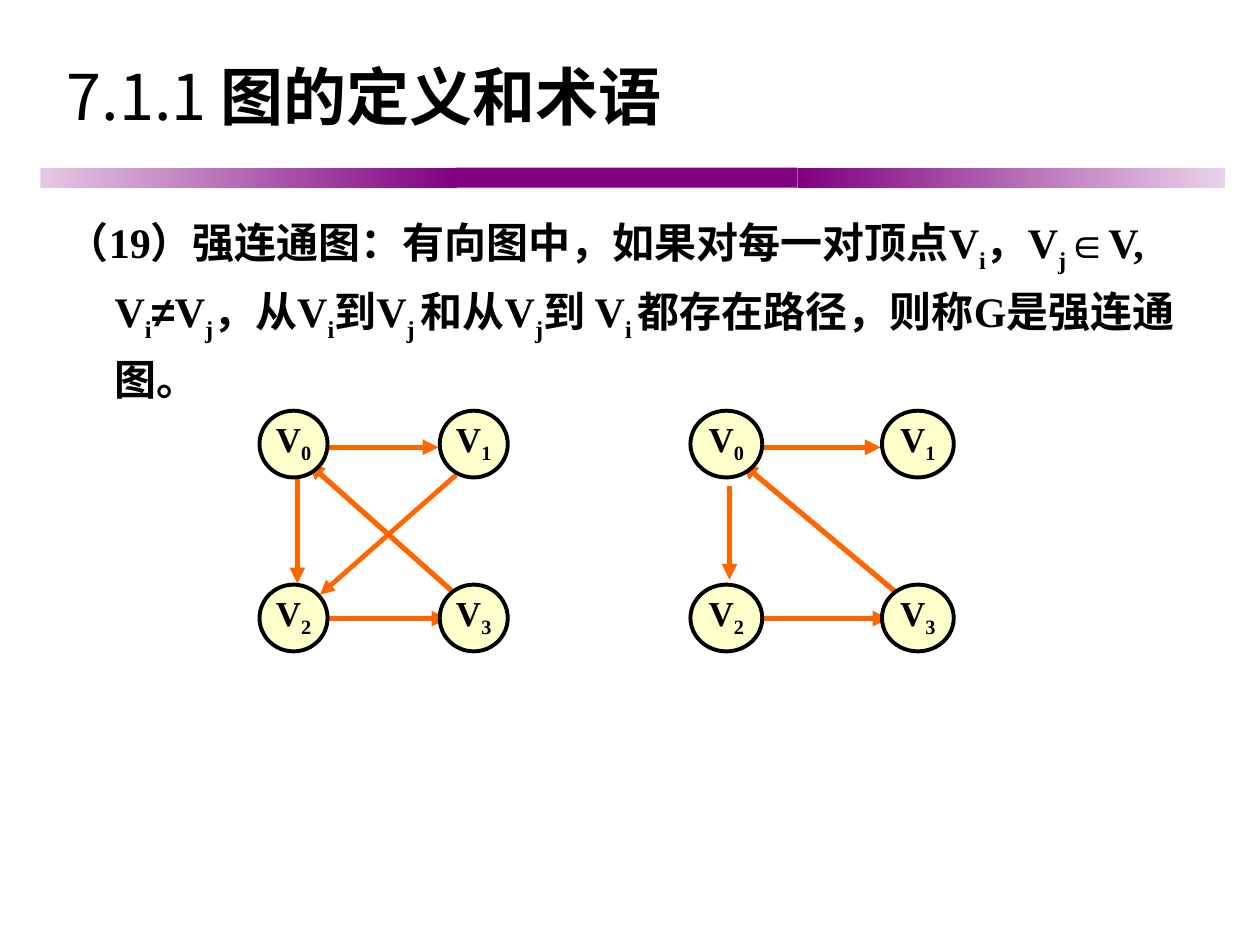
"""Build a slide that defines strongly connected graphs."""
from dataclasses import dataclass

from lxml.etree import SubElement
from pptx import Presentation
from pptx.dml.color import RGBColor
from pptx.enum.shapes import MSO_CONNECTOR, MSO_SHAPE
from pptx.enum.text import MSO_ANCHOR, MSO_AUTO_SIZE, PP_ALIGN
from pptx.oxml.ns import qn
from pptx.util import Inches, Pt

WIDE, HIGH = Inches(10), Inches(7.5)
COLS, ROWS = 100, 75
SANS, SERIF = "Noto Sans CJK JP", "Times New Roman"
BLACK, PURPLE, ORANGE, CREAM = "000000", "800080", "FF6600", "FFFFCC"


@dataclass(frozen=True)
class Run:
    """A piece of text with one look."""
    text: str
    size: float = 24
    font: str = SERIF
    bold: bool = True
    base: int = 0


@dataclass(frozen=True)
class Bar:
    """A part of the rule, blending from one colour to another."""
    left: float
    width: float
    start: str
    end: str


@dataclass(frozen=True)
class Edge:
    """An arrow between two grid points."""
    x1: float
    y1: float
    x2: float
    y2: float
    weight: float = 3


@dataclass(frozen=True)
class Graph:
    """Four nodes on a two by two grid, with their arrows."""
    left: float
    step: float
    width: float
    edges: tuple[Edge, ...]


TITLE = [Run("7.1.1 ", 36, SANS, False), Run("图的定义和术语", 36, SANS)]


def sub(text: str, size: float = 24) -> Run:
    """Return a subscript run."""
    return Run(text, size, base=-25)


BODY = [
    Run("（19）强连通图：有向图中，如果对每一对顶点V"), sub("i"),
    Run("，V"), sub("j"), Run("∈", font="Arial"), Run("V, V"), sub("i"),
    Run("≠", font="Arial"), Run("V"), sub("j"),
    Run("，从V"), sub("i"), Run("到V"), sub("j "),
    Run("和从V"), sub("j"), Run("到 V"), sub("i "),
    Run("都存在路径，则称G是强连通图。"),
]
BARS = [
    Bar(3.2, 33.1, "E4C9E4", PURPLE),
    Bar(36.2, 27.1, PURPLE, PURPLE),
    Bar(63.3, 33.9, PURPLE, "E9D2E9"),
]
NODE_TOP, NODE_STEP, NODE_HIGH = 32.6, 13.8, 5.3
GRAPHS = [
    Graph(54.8, 15.2, 5.7, (
        Edge(57.9, 38.6, 57.9, 46), Edge(60.5, 49.1, 70.5, 49.1),
        Edge(60.5, 35.5, 69.9, 35.5), Edge(72.3, 48, 58.9, 36.8))),
    Graph(20.6, 14.3, 5.4, (
        Edge(23.6, 37.7, 23.6, 46.3), Edge(26, 49.1, 35.5, 49.1),
        Edge(26, 35.5, 34.8, 35.5), Edge(37.1, 48, 24.5, 36.8),
        Edge(36.2, 37.7, 25.4, 47.2, 2.75))),
]


def shade(code: str) -> RGBColor:
    """Turn a hex string into a colour."""
    return RGBColor.from_string(code)


def across(cols: float) -> int:
    """Turn grid columns into a length."""
    return round(WIDE * cols / COLS)


def down(rows: float) -> int:
    """Turn grid rows into a length."""
    return round(HIGH * rows / ROWS)


def place(shape, left: float, top: float, width: float, height: float) -> None:
    """Move a shape to a grid cell."""
    shape.left, shape.top = across(left), down(top)
    shape.width, shape.height = across(width), down(height)


def write(para, runs: list[Run]) -> None:
    """Add runs to a paragraph one by one."""
    for item in runs:
        run = para.add_run()
        run.text = item.text
        font = run.font
        font.size, font.bold, font.name = Pt(item.size), item.bold, item.font
        font.color.rgb = shade(BLACK)
        props = run._r.get_or_add_rPr()
        SubElement(props, qn("a:ea")).set("typeface", SANS)
        if item.base:
            props.set("baseline", str(item.base * 1000))


def draw_bar(slide, bar: Bar) -> None:
    """Draw one part of the rule."""
    shape = slide.shapes.add_shape(
        MSO_SHAPE.RECTANGLE, across(bar.left), down(13.3), across(bar.width), down(1.6))
    shape.shadow.inherit = False
    shape.line.fill.background()
    if bar.start == bar.end:
        shape.fill.solid()
        shape.fill.fore_color.rgb = shade(bar.start)
        return
    shape.fill.gradient()
    shape.fill.gradient_angle = 0
    for stop, code in zip(shape.fill.gradient_stops, (bar.start, bar.end)):
        stop.color.rgb = shade(code)


def draw_edge(slide, edge: Edge) -> None:
    """Draw one arrow."""
    link = slide.shapes.add_connector(
        MSO_CONNECTOR.STRAIGHT, across(edge.x1), down(edge.y1), across(edge.x2), down(edge.y2))
    link.line.color.rgb = shade(ORANGE)
    link.line.width = Pt(edge.weight)
    SubElement(link.line._get_or_add_ln(), qn("a:tailEnd")).set("type", "triangle")
    SubElement(link._element.spPr, qn("a:effectLst"))


def draw_node(slide, left: float, top: float, width: float, index: int) -> None:
    """Draw one node with its label."""
    node = slide.shapes.add_shape(
        MSO_SHAPE.OVAL, across(left), down(top), across(width), down(NODE_HIGH))
    node.shadow.inherit = False
    node.fill.solid()
    node.fill.fore_color.rgb = shade(CREAM)
    node.line.color.rgb = shade(BLACK)
    node.line.width = Pt(2.25)
    frame = node.text_frame
    frame.word_wrap = False
    frame.vertical_anchor = MSO_ANCHOR.MIDDLE
    frame.margin_left = frame.margin_right = frame.margin_top = 0
    frame.margin_bottom = down(0.5)
    para = frame.paragraphs[0]
    para.alignment = PP_ALIGN.CENTER
    write(para, [Run("V", 20), sub(str(index), 20)])


def draw_graph(slide, graph: Graph) -> None:
    """Draw the arrows of a graph, then its nodes."""
    for edge in graph.edges:
        draw_edge(slide, edge)
    for index in range(4):
        row, col = divmod(index, 2)
        draw_node(slide, graph.left + col * graph.step,
                  NODE_TOP + row * NODE_STEP, graph.width, index)


def fill_text(shape, runs: list[Run], anchor: MSO_ANCHOR):
    """Fill a placeholder and return its paragraph."""
    frame = shape.text_frame
    frame.auto_size = MSO_AUTO_SIZE.NONE
    frame.vertical_anchor = anchor
    para = frame.paragraphs[0]
    para.alignment = PP_ALIGN.LEFT
    para.space_before = Pt(0)
    write(para, runs)
    return para


def main() -> None:
    """Build and save the slide."""
    deck = Presentation()
    deck.slide_width, deck.slide_height = WIDE, HIGH
    slide = deck.slides.add_slide(deck.slide_layouts[1])
    title, body = slide.placeholders
    place(title, 4.3, 3.6, 90.6, 8)
    fill_text(title, TITLE, MSO_ANCHOR.MIDDLE)
    place(body, 4.3, 15.8, 92.1, 55.5)
    para = fill_text(body, BODY, MSO_ANCHOR.TOP)
    para.line_spacing = 1.2
    props = para._p.get_or_add_pPr()
    props.set("marL", str(across(3.8)))
    props.set("indent", str(-across(3.8)))
    SubElement(props, qn("a:buNone"))
    for bar in BARS:
        draw_bar(slide, bar)
    for graph in GRAPHS:
        draw_graph(slide, graph)
    deck.save("out.pptx")


if __name__ == "__main__":
    main()
